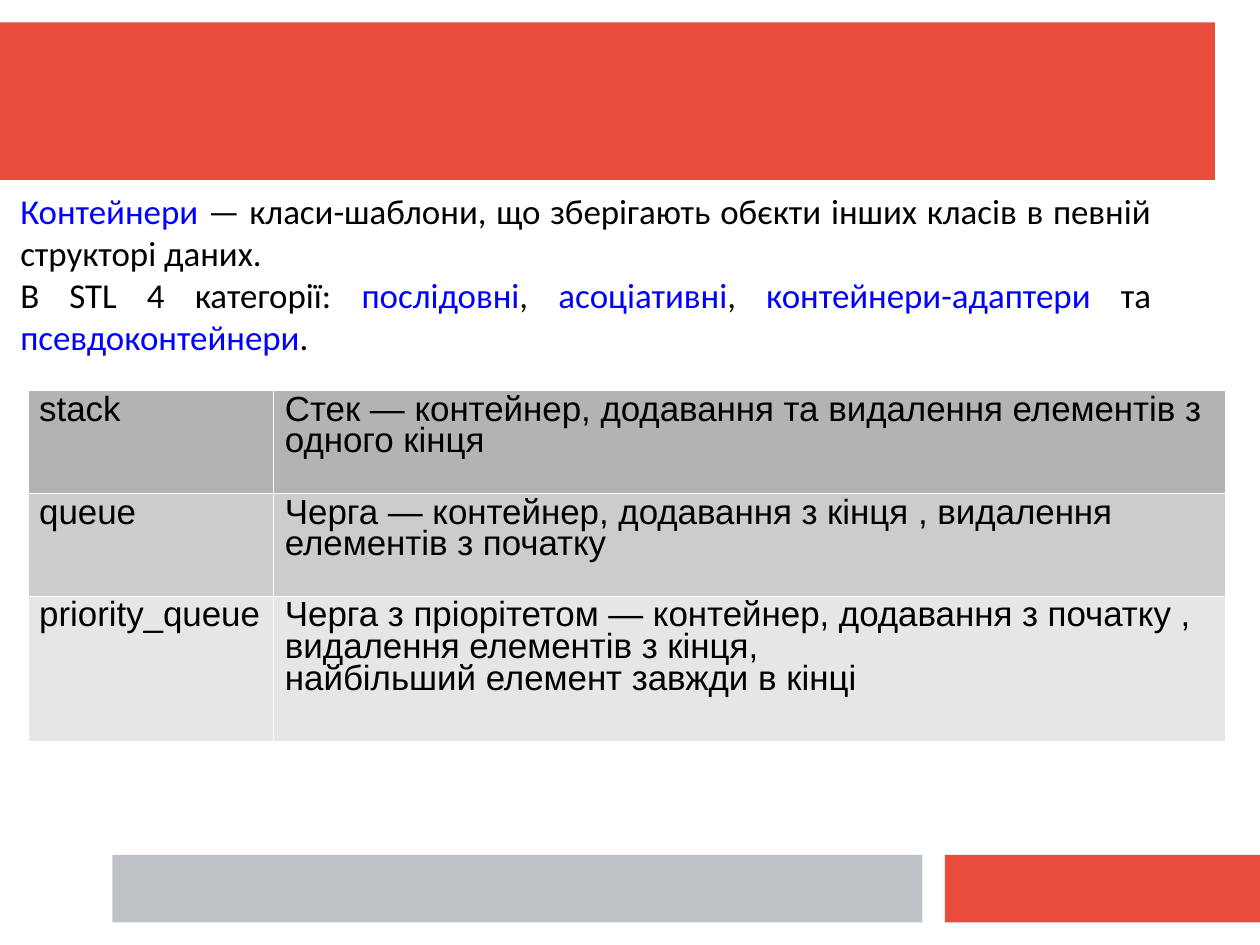
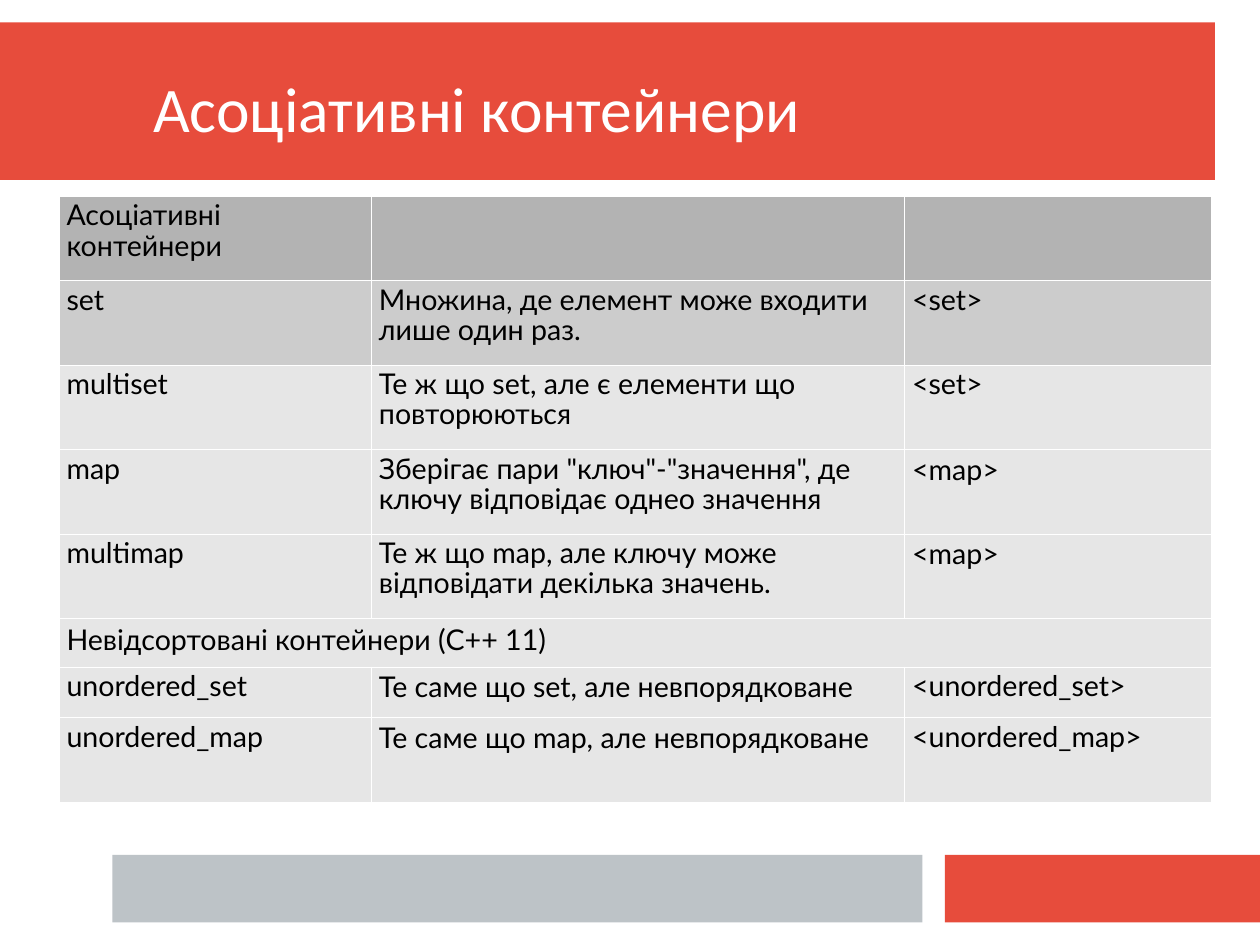
"""Build two slides about STL containers, with shared bands and shaded tables."""
from lxml import etree
from pptx import Presentation
from pptx.dml.color import RGBColor
from pptx.enum.shapes import MSO_SHAPE
from pptx.enum.text import MSO_ANCHOR, MSO_AUTO_SIZE, PP_ALIGN
from pptx.oxml.ns import qn
from pptx.util import Pt

RECTANGLE = MSO_SHAPE.RECTANGLE
TOP = MSO_ANCHOR.TOP
NO_FIT = MSO_AUTO_SIZE.NONE
LEFT, JUSTIFY = PP_ALIGN.LEFT, PP_ALIGN.JUSTIFY
COLORS = {
    "red": "E74C3C", "silver": "BDC3C7", "blue": "0000FF", "black": "000000",
    "white": "FFFFFF", "header": "B3B3B3", "first": "CCCCCC", "body": "E6E6E6",
}


def write(frame, paragraphs, font="Calibri", size=22, color="black", align=LEFT, spacing=None):
    """Fill a frame; a paragraph is a string or a list of (text, colour) pairs."""
    for index, content in enumerate(paragraphs):
        para = frame.paragraphs[0] if index == 0 else frame.add_paragraph()
        para.alignment = align
        para.line_spacing = spacing
        for text, tint in [(content, color)] if isinstance(content, str) else content:
            span = para.add_run()
            span.text = text
            span.font.name = font
            span.font.size = Pt(size)
            span.font.color.rgb = RGBColor.from_string(COLORS[tint])


def add_grid(page, left, top, widths, heights, rows, margin, border, spacing, special, **style):
    """Add a table shaded by row; special maps (row, column) to its line spacing."""
    frame = page.shapes.add_table(len(heights), len(widths), Pt(left), Pt(top),
                                  Pt(sum(widths)), Pt(sum(heights)))
    table = frame.table
    table.first_row = table.horz_banding = False
    for column, width in zip(table.columns, widths):
        column.width = Pt(width)
    for row, height in zip(table.rows, heights):
        row.height = Pt(height)
    for r, texts in enumerate(rows):
        shade = ("header", "first", "body")[min(r, 2)]
        for c, text in enumerate(texts):
            cell = table.cell(r, c)
            cell.margin_left = cell.margin_right = Pt(margin)
            cell.margin_top = cell.margin_bottom = Pt(3.6)
            properties = cell._tc.get_or_add_tcPr()
            for side in ("lnL", "lnR", "lnT", "lnB"):
                line = etree.SubElement(properties, qn("a:" + side), w=str(Pt(border)))
                fill = etree.SubElement(line, qn("a:solidFill"))
                etree.SubElement(fill, qn("a:srgbClr"), val=COLORS["white"])
            cell.fill.solid()
            cell.fill.fore_color.rgb = RGBColor.from_string(COLORS[shade])
            if text:
                write(cell.text_frame, text.split("\n"),
                      spacing=special.get((r, c), spacing), **style)
    return table


deck = Presentation()
deck.slide_width, deck.slide_height = Pt(793.7), Pt(595.28)
overview = deck.slides.add_slide(deck.slide_layouts[6])
associative = deck.slides.add_slide(deck.slide_layouts[5])

bands = [
    ("red", 0, 14.17, 765.35, 99.21),
    ("red", 595.28, 538.58, 198.43, 42.52),
    ("silver", 70.87, 538.58, 510.24, 42.52),
]
for number, (color, *place) in enumerate(bands):
    band = overview.shapes.add_shape(RECTANGLE, *map(Pt, place))
    band.shadow.inherit = False
    band.fill.solid()
    band.fill.fore_color.rgb = RGBColor.from_string(COLORS[color])
    band.line.fill.background()
    band.element.xpath(".//p:cNvPr")[0].set("id", str(100 + number))
    deck.slide_master.shapes.element.append(band.element)

box = overview.shapes.add_textbox(Pt(5.67), Pt(116), Pt(726.5), Pt(139))
box.text_frame.word_wrap = True
write(box.text_frame, [
    [("Контейнери", "blue"),
     (" — класи-шаблони, що зберігають обєкти інших класів в певній структорі даних.", "black")],
    [("В STL 4 категорії: ", "black"), ("послідовні", "blue"), (", ", "black"),
     ("асоціативні", "blue"), (", ", "black"), ("контейнери-адаптери", "blue"),
     (" та ", "black"), ("псевдоконтейнери", "blue"), (".", "black")],
], align=JUSTIFY)

adapter_rows = [
    ("stack", "Стек — контейнер, додавання та видалення елементів з одного кінця"),
    ("queue", "Черга — контейнер, додавання з кінця , видалення елементів з початку"),
    ("priority_queue", "Черга з пріорітетом — контейнер, додавання з початку , "
     "видалення елементів з кінця,\nнайбільший елемент завжди в кінці"),
]
add_grid(overview, 17.5, 245.8, [154.8, 599.5], [64.8, 64.8, 91.3], adapter_rows,
         margin=7.2, border=0.06, spacing=0.81, special={}, font="Arial", size=22)

associative_rows = [
    ("Асоціативні контейнери", "", ""),
    ("set", "Множина, де елемент може входити лише один раз.", "<set>"),
    ("multiset", "Те ж що set, але є елементи що повторюються", "<set>"),
    ("map", 'Зберігає пари "ключ"-"значення", де ключу відповідає однео значення', "<map>"),
    ("multimap", "Те ж що map, але ключу може відповідати декілька значень.", "<map>"),
    ("Невідсортовані контейнери (C++ 11)", "", ""),
    ("unordered_set", "Те саме що set, але невпорядковане", "<unordered_set>"),
    ("unordered_map", "Те саме що map, але невпорядковане", "<unordered_map>"),
]
table = add_grid(associative, 36.9, 123.5, [196.8, 335.8, 193.2],
                 [53.2] * 5 + [30.6, 31.8, 53.8], associative_rows,
                 margin=5.04, border=0.11, spacing=0.88,
                 special={(3, 2): 0.93, (4, 2): 0.93, (5, 0): 0.96, (6, 1): 0.93, (7, 1): 0.93},
                 font="Lato", size=18)
table.cell(5, 0).merge(table.cell(5, 2))

title = associative.shapes.title
title.left, title.top, title.width, title.height = map(Pt, (89.3, 44.6, 432, 51.8))
title.text_frame.word_wrap = False
title.text_frame.auto_size = NO_FIT
title.text_frame.vertical_anchor = TOP
write(title.text_frame, ["Асоціативні контейнери"], size=40, color="white", spacing=0.92)

deck.save("out.pptx")
